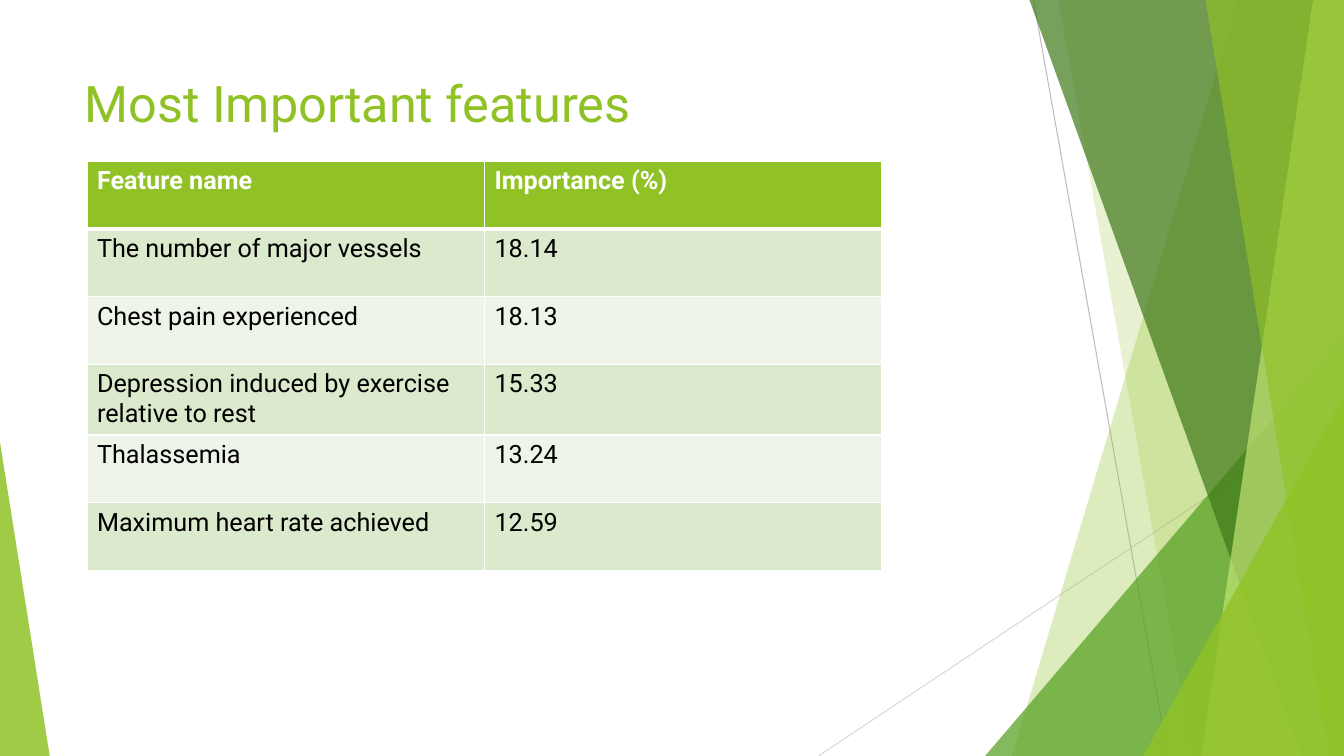
from dataclasses import dataclass

from lxml import etree
from pptx import Presentation
from pptx import util as u
from pptx.dml.color import RGBColor
from pptx.enum import shapes, text
from pptx.oxml.ns import qn

FONT = "Roboto"
GREEN, WHITE, BLACK = "90C226", "FFFFFF", "000000"
BANDS = ("DBE9CD", "EEF4E8")
COL, ROW = 29.58, 8.96


@dataclass
class Ray:
    start: tuple[float, float]
    end: tuple[float, float]
    color: str


@dataclass
class Shard:
    points: list[tuple[float, float]]
    color: str
    alpha: int


@dataclass
class Corner:
    left: float
    top: float
    width: float
    apex: float
    color: str
    alpha: int


def band(top_left: float, bottom_left: float, color: str, alpha: int) -> Shard:
    return Shard([(top_left, 0), (100, 0), (100, 100), (bottom_left, 100)], color, alpha)


RAYS = [
    Ray((76.9, 0), (86.9, 100), "BFBFBF"),
    Ray((100, 53.7), (60.9, 100), "D9D9D9"),
]
FACETS = [
    band(92.1, 75.3, GREEN, 30),
    band(78.75, 88.75, GREEN, 20),
    Corner(73.3, 44.4, 26.7, 1, "54A021", 72),
    band(76.6, 96.85, "3F7819", 70),
    band(97.7, 89.4, "C0E474", 70),
    band(89.7, 98.85, GREEN, 65),
    Corner(85.05, 52.4, 14.95, 1, GREEN, 80),
    Corner(0, 58.5, 3.7, 0, GREEN, 85),
]
FEATURES = [
    ("Feature name", "Importance (%)"),
    ("The number of major vessels", "18.14"),
    ("Chest pain experienced", "18.13"),
    ("Depression induced by exercise relative to rest", "15.33"),
    ("Thalassemia", "13.24"),
    ("Maximum heart rate achieved", "12.59"),
]

prs = Presentation()
prs.slide_width, prs.slide_height = u.Inches(13.333), u.Inches(7.5)
s = prs.slides.add_slide(prs.slide_layouts[6])


def x(share: float) -> int:
    return round(prs.slide_width * share / 100)


def y(share: float) -> int:
    return round(prs.slide_height * share / 100)


def rgb(color: str) -> RGBColor:
    return RGBColor.from_string(color)


def paint(sp, color: str, alpha: int) -> None:
    sp.shadow.inherit = False
    sp.line.fill.background()
    sp.fill.solid()
    sp.fill.fore_color.rgb = rgb(color)
    clr = sp._element.spPr.find(f"{qn('a:solidFill')}/{qn('a:srgbClr')}")
    etree.SubElement(clr, qn("a:alpha"), val=str(alpha * 1000))


def draw_ray(ray: Ray) -> None:
    c = s.shapes.add_connector(
        shapes.MSO_CONNECTOR.STRAIGHT,
        x(ray.start[0]), y(ray.start[1]), x(ray.end[0]), y(ray.end[1]))
    c.line.color.rgb = rgb(ray.color)
    c.line.width = u.Pt(0.75)
    etree.SubElement(c._element.spPr, qn("a:effectLst"))


def draw_shard(shard: Shard) -> None:
    first, *rest = [(x(px), y(py)) for px, py in shard.points]
    ff = s.shapes.build_freeform(*first)
    ff.add_line_segments(rest, close=True)
    paint(ff.convert_to_shape(), shard.color, shard.alpha)


def draw_corner(corner: Corner) -> None:
    sp = s.shapes.add_shape(
        shapes.MSO_SHAPE.ISOSCELES_TRIANGLE,
        x(corner.left), y(corner.top), x(corner.width), y(100 - corner.top))
    sp.adjustments[0] = corner.apex
    paint(sp, corner.color, corner.alpha)


def write(tf, words: str, *, size: float, color: str, bold: bool = False) -> None:
    tf.word_wrap = True
    tf.vertical_anchor = text.MSO_ANCHOR.TOP
    r = tf.paragraphs[0].add_run()
    r.text = words
    r.font.name, r.font.size, r.font.bold = FONT, u.Pt(size), bold
    r.font.color.rgb = rgb(color)


def border(cell, bottom: float, top: float) -> None:
    tc_pr = cell._tc.get_or_add_tcPr()
    widths = {"lnL": 1, "lnR": 1, "lnT": top, "lnB": bottom}
    for i, (side, width) in enumerate(widths.items()):
        ln = etree.Element(qn(f"a:{side}"), w=str(u.Pt(width)))
        fill = etree.SubElement(ln, qn("a:solidFill"))
        etree.SubElement(fill, qn("a:srgbClr"), val=WHITE)
        tc_pr.insert(i, ln)


def draw_table(rows: list[tuple[str, str]], left: float, top: float) -> None:
    n = len(rows[0])
    table = s.shapes.add_table(
        len(rows), n, x(left), y(top), x(COL * n), y(ROW * len(rows))).table
    table.horz_banding = False
    for i, row in enumerate(rows):
        header = i == 0
        table.rows[i].height = y(ROW)
        for j, words in enumerate(row):
            cell = table.cell(i, j)
            cell.fill.solid()
            cell.fill.fore_color.rgb = rgb(GREEN if header else BANDS[(i - 1) % 2])
            border(cell, bottom=3 if header else 1, top=3 if i == 1 else 1)
            write(cell.text_frame, words, size=18,
                  color=WHITE if header else BLACK, bold=header)


for ray in RAYS:
    draw_ray(ray)
for facet in FACETS:
    if isinstance(facet, Shard):
        draw_shard(facet)
    else:
        draw_corner(facet)

title = s.shapes.add_textbox(x(5.55), y(8.9), x(70.5), y(19.2))
write(title.text_frame, "Most Important features", size=36, color=GREEN)
draw_table(FEATURES, 6.47, 21.33)

prs.save("out.pptx")
